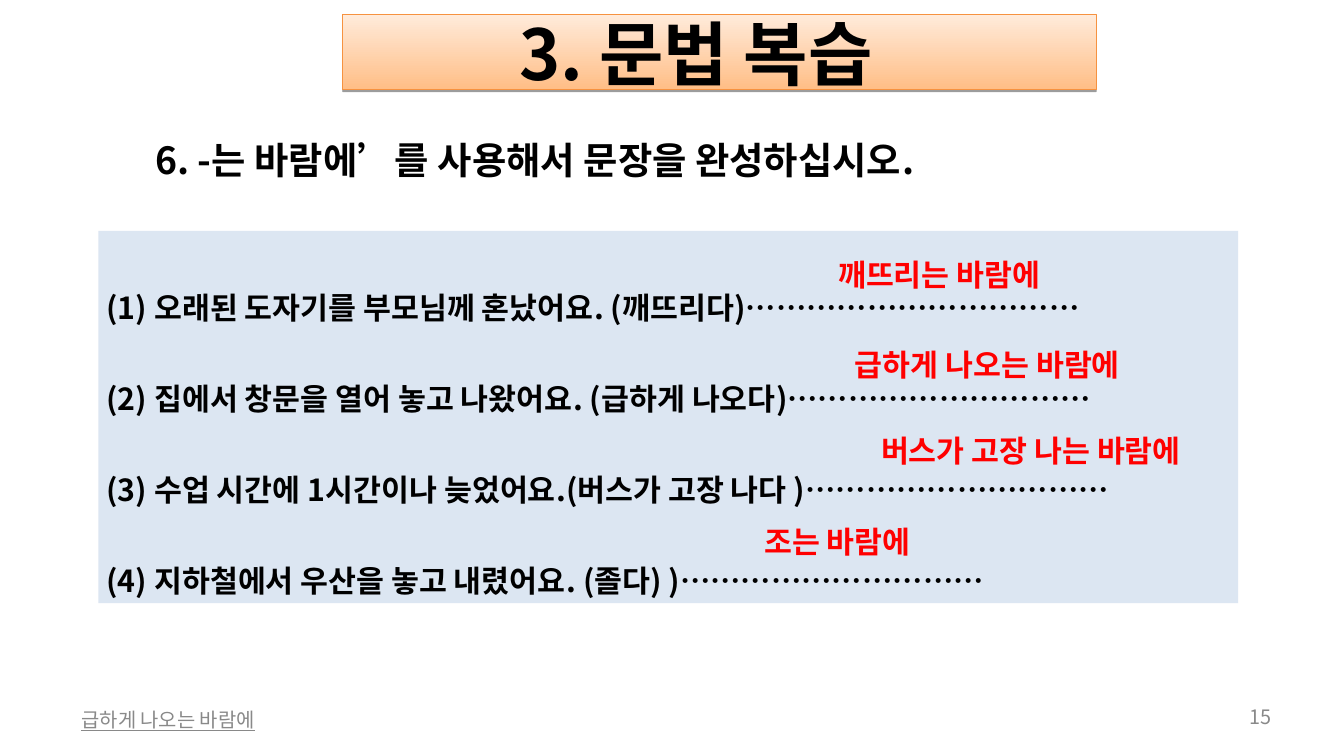
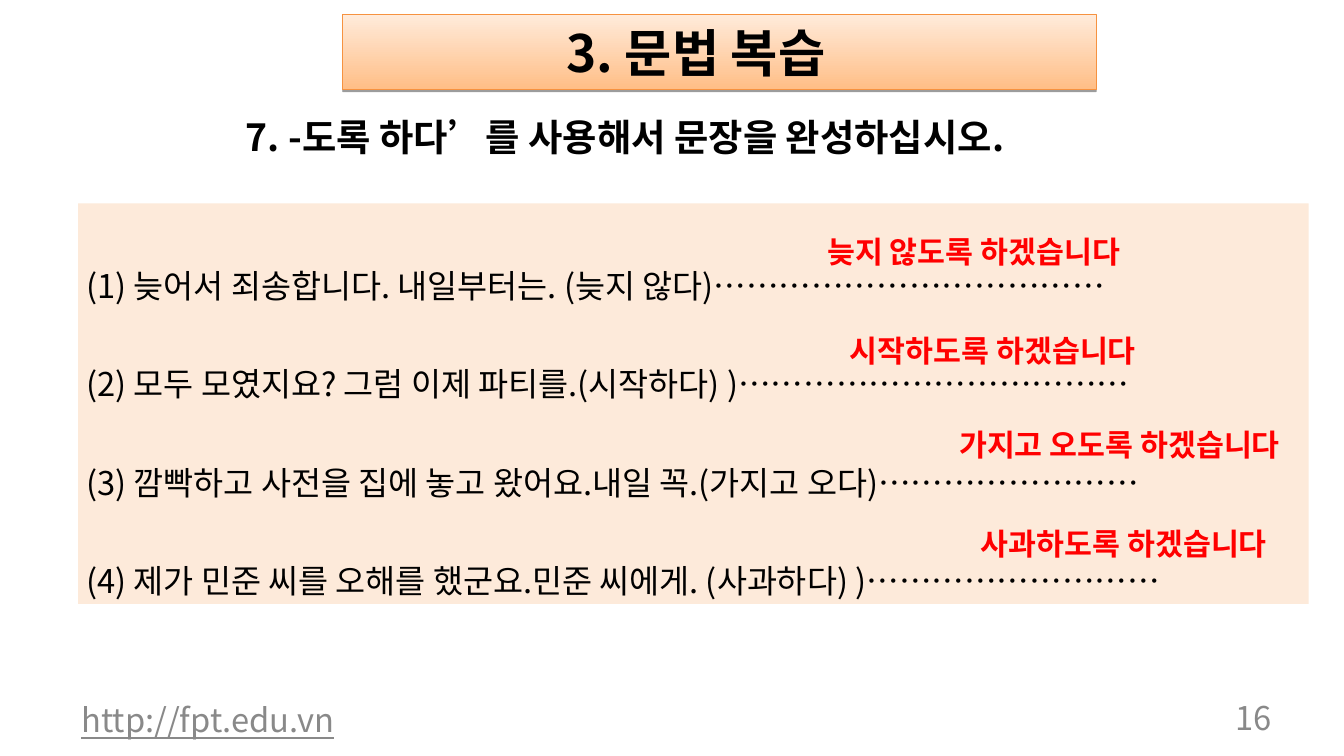
from dataclasses import dataclass

import pptx
import pptx.dml.color
import pptx.enum.shapes
import pptx.enum.text
import pptx.oxml
import pptx.oxml.ns
import pptx.util
from pptx.util import Inches

FONT = "Noto Sans CJK KR"
BLACK, GREY, RED = "000000", "898989", "FF0000"
TITLE_LINE, TITLE_BOTTOM, TITLE_TOP = "F69240", "FFBE86", "FFEBDB"
TITLE = "3. 문법 복습"
ALIGN = pptx.enum.text.PP_ALIGN
ANCHOR = pptx.enum.text.MSO_ANCHOR
RECTANGLE = pptx.enum.shapes.MSO_SHAPE.RECTANGLE
BOX_MARGINS = (0.1, 0.05, 0.1, 0.05)
FOOTER_MARGINS = (0.14, 0.07, 0.14, 0.07)
# The wider right margin sets the title left of the band's centre.
TITLE_MARGINS = (0, 0, 0.56, 0)
TITLE_SHADOW = (
    f'<a:effectLst {pptx.oxml.ns.nsdecls("a")}>'
    '<a:outerShdw blurRad="0" dist="20320" dir="5400000" rotWithShape="0">'
    '<a:srgbClr val="000000"><a:alpha val="38000"/></a:srgbClr>'
    "</a:outerShdw></a:effectLst>"
)


@dataclass(frozen=True)
class Box:
    left: float
    top: float
    width: float
    height: float

    def lengths(self) -> list[int]:
        return [Inches(v) for v in (self.left, self.top, self.width, self.height)]


@dataclass(frozen=True)
class Answer:
    text: str
    left: float
    top: float
    width: float


@dataclass(frozen=True)
class Exercise:
    title_size: int
    instruction: str
    instruction_box: Box
    panel_box: Box
    panel_color: str
    sentence_size: int
    sentence_bold: bool
    sentences: tuple[str, ...]
    answers: tuple[Answer, ...]
    footer: str
    page: int
    footer_size: int


TITLE_BOX = Box(4.08, 0.17, 8.97, 0.9)
FOOTER_BOX = Box(0.83, 8.33, 5.07, 0.48)
PAGE_BOX = Box(14.5, 8.33, 0.78, 0.41)
ANSWER_HEIGHT = 0.54

EXERCISES = (
    Exercise(
        title_size=60,
        instruction="6. -는 바람에’를 사용해서 문장을 완성하십시오.",
        instruction_box=Box(1.75, 1.58, 12.58, 0.64),
        panel_box=Box(1.17, 2.75, 13.57, 4.43),
        panel_color="DCE6F2",
        sentence_size=26,
        sentence_bold=True,
        sentences=(
            "(1) 오래된 도자기를 부모님께 혼났어요. (깨뜨리다)……………………………",
            "(2) 집에서 창문을 열어 놓고 나왔어요. (급하게 나오다)…………………………",
            "(3) 수업 시간에 1시간이나 늦었어요.(버스가 고장 나다 )…………………………",
            "(4) 지하철에서 우산을 놓고 내렸어요. (졸다) )…………………………",
        ),
        answers=(
            Answer("깨뜨리는 바람에", 9.88, 3, 3.17),
            Answer("급하게 나오는 바람에", 10.08, 4.07, 3.94),
            Answer("버스가 고장 나는 바람에", 10.39, 5.09, 4.35),
            Answer("조는 바람에", 9, 6.18, 2.5),
        ),
        footer="급하게 나오는 바람에",
        page=15,
        footer_size=17,
    ),
    Exercise(
        title_size=44,
        instruction="7. -도록 하다’를 사용해서 문장을 완성하십시오.",
        instruction_box=Box(2.83, 1.31, 10.33, 0.64),
        panel_box=Box(0.93, 2.42, 14.65, 4.77),
        panel_color="FDEADA",
        sentence_size=28,
        sentence_bold=False,
        sentences=(
            "(1) 늦어서 죄송합니다. 내일부터는. (늦지 않다)………………………………",
            "(2) 모두 모였지요? 그럼 이제 파티를.(시작하다) )………………………………",
            "(3) 깜빡하고 사전을 집에 놓고 왔어요.내일 꼭.(가지고 오다)……………………",
            "(4) 제가 민준 씨를 오해를 했군요.민준 씨에게. (사과하다) )………………………",
        ),
        answers=(
            Answer("늦지 않도록 하겠습니다", 9.75, 2.73, 4.52),
            Answer("시작하도록 하겠습니다", 10.02, 3.9, 4.25),
            Answer("가지고 오도록 하겠습니다", 11.32, 5.03, 4.83),
            Answer("사과하도록 하겠습니다", 11.58, 6.2, 4),
        ),
        footer="http://fpt.edu.vn",
        page=16,
        footer_size=28,
    ),
)


def rgb(color: str) -> pptx.dml.color.RGBColor:
    return pptx.dml.color.RGBColor.from_string(color)


def write(shape, *lines: str, size: int, color: str = BLACK, bold: bool = False,
          underline: bool = False, align=ALIGN.LEFT, anchor=ANCHOR.TOP,
          margins: tuple = BOX_MARGINS, spacing: float = 1.0, grow: bool = False) -> None:
    """Fill a shape with one paragraph per line, all in one format."""
    frame = shape.text_frame
    frame.word_wrap = True
    frame.vertical_anchor = anchor
    if grow:
        frame.auto_size = pptx.enum.text.MSO_AUTO_SIZE.SHAPE_TO_FIT_TEXT
    (frame.margin_left, frame.margin_top,
     frame.margin_right, frame.margin_bottom) = map(Inches, margins)
    for index, line in enumerate(lines):
        paragraph = frame.add_paragraph() if index else frame.paragraphs[0]
        paragraph.alignment = align
        paragraph.line_spacing = spacing
        run = paragraph.add_run()
        run.text = line
        font = run.font
        font.name, font.size = FONT, pptx.util.Pt(size)
        font.bold, font.underline = bold, underline
        font.color.rgb = rgb(color)
        east_asian = pptx.oxml.parse_xml(
            f'<a:ea {pptx.oxml.ns.nsdecls("a")} typeface="{FONT}"/>')
        run._r.get_or_add_rPr().find(pptx.oxml.ns.qn("a:latin")).addnext(east_asian)


def add_text(slide, box: Box, text: str, **text_format) -> None:
    write(slide.shapes.add_textbox(*box.lengths()), text, **text_format)


def add_title(slide, size: int) -> None:
    band = slide.shapes.add_shape(RECTANGLE, *TITLE_BOX.lengths())
    band.fill.gradient()
    band.fill.gradient_angle = 90
    for stop, color in zip(band.fill.gradient_stops, (TITLE_BOTTOM, TITLE_TOP)):
        stop.color.rgb = rgb(color)
    band.line.color.rgb = rgb(TITLE_LINE)
    band.line.width = pptx.util.Pt(0.75)
    band._element.spPr.append(pptx.oxml.parse_xml(TITLE_SHADOW))
    write(band, TITLE, size=size, bold=True, align=ALIGN.CENTER,
          anchor=ANCHOR.MIDDLE, margins=TITLE_MARGINS)


def add_panel(slide, exercise: Exercise) -> None:
    panel = slide.shapes.add_shape(RECTANGLE, *exercise.panel_box.lengths())
    panel.shadow.inherit = False
    panel.fill.solid()
    panel.fill.fore_color.rgb = rgb(exercise.panel_color)
    panel.line.fill.background()
    write(panel, *exercise.sentences, size=exercise.sentence_size,
          bold=exercise.sentence_bold, spacing=2.5, grow=True)


def add_footer(slide, exercise: Exercise) -> None:
    shared = dict(size=exercise.footer_size, color=GREY,
                  anchor=ANCHOR.MIDDLE, margins=FOOTER_MARGINS)
    add_text(slide, FOOTER_BOX, exercise.footer, underline=True, **shared)
    add_text(slide, PAGE_BOX, str(exercise.page), align=ALIGN.RIGHT, **shared)


def add_exercise(slide, exercise: Exercise) -> None:
    add_footer(slide, exercise)
    add_title(slide, exercise.title_size)
    add_panel(slide, exercise)
    add_text(slide, exercise.instruction_box, exercise.instruction,
             size=32, bold=True, grow=True)
    for answer in exercise.answers:
        add_text(slide, Box(answer.left, answer.top, answer.width, ANSWER_HEIGHT),
                 answer.text, size=26, color=RED, bold=True, grow=True)


def main() -> None:
    deck = pptx.Presentation()
    deck.slide_width, deck.slide_height = Inches(16), Inches(9)
    blank = deck.slide_layouts[6]
    for exercise in EXERCISES:
        add_exercise(deck.slides.add_slide(blank), exercise)
    deck.save("out.pptx")


if __name__ == "__main__":
    main()
